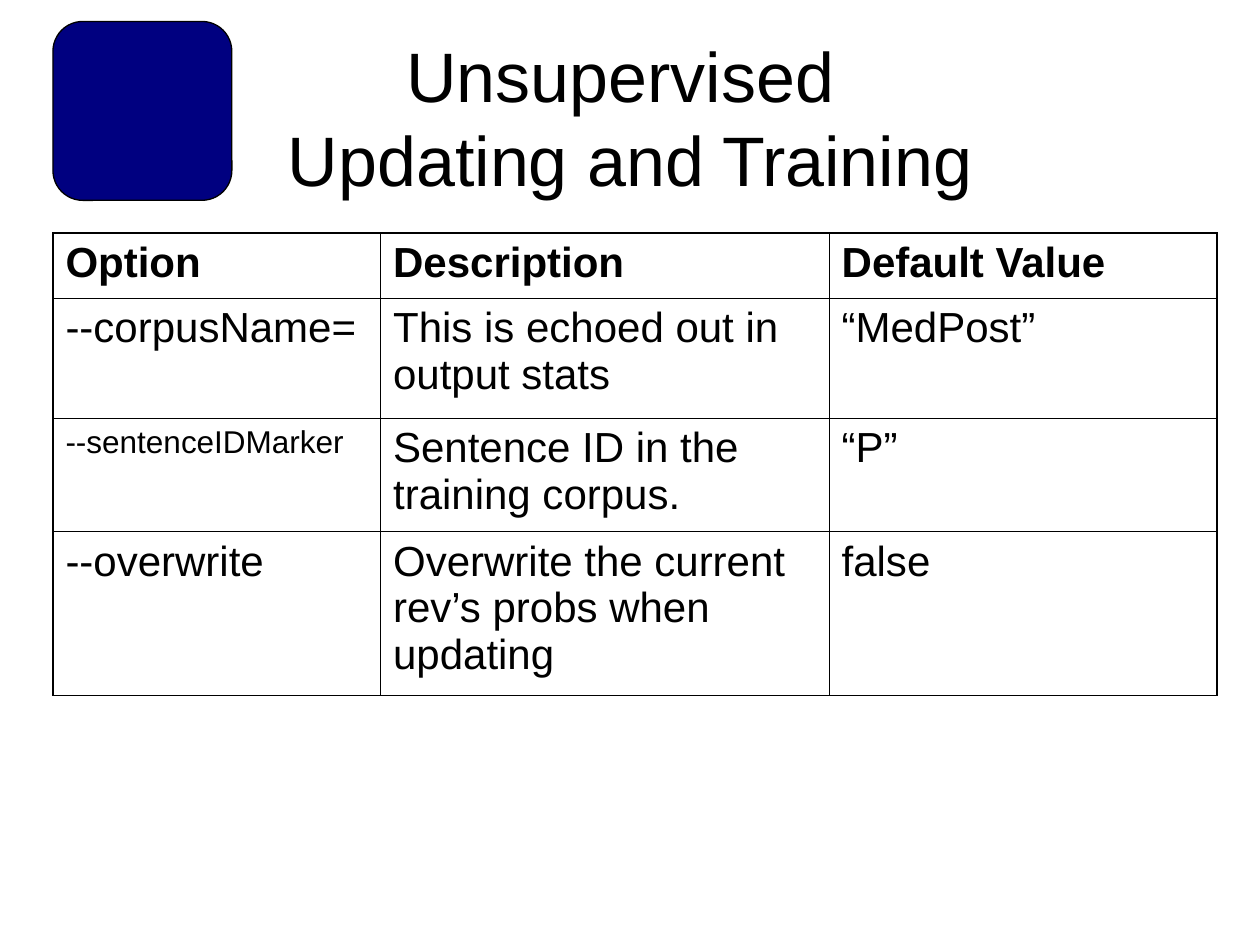
from lxml.etree import SubElement
from pptx import Presentation
from pptx.dml.color import RGBColor
from pptx.enum.shapes import MSO_SHAPE
from pptx.enum.text import MSO_ANCHOR, PP_ALIGN
from pptx.oxml.ns import qn
from pptx.util import Inches, Pt

BLACK = RGBColor(0, 0, 0)
NAVY = RGBColor(0, 0, 0x80)
FONT = "Arial"
OUTER_LINE, INNER_LINE = Pt(1.08), Pt(0.45)

COLUMN_WIDTHS = [2.6, 3.56, 3.08]
ROW_HEIGHTS = [0.52, 0.95, 0.9, 1.3]
OPTIONS = [
    ["Option", "Description", "Default Value"],
    ["--corpusName=", "This is echoed out in output stats", "“MedPost”"],
    ["--sentenceIDMarker", "Sentence ID in the training corpus.", "“P”"],
    ["--overwrite", "Overwrite the current rev’s probs when updating", "false"],
]
SMALL_SIZES = {"--sentenceIDMarker": 18}


def format_font(paragraph, size, bold=False):
    for run in paragraph.runs:
        run.font.name = FONT
        run.font.size = Pt(size)
        run.font.bold = bold
        run.font.color.rgb = BLACK


def add_title(slide, left, top, width, height):
    box = slide.shapes.add_textbox(left, top, width, height)
    text_frame = box.text_frame
    text_frame.word_wrap = True
    text_frame.vertical_anchor = MSO_ANCHOR.MIDDLE
    paragraph = text_frame.paragraphs[0]
    paragraph.text = "Unsupervised \vUpdating and Training"
    paragraph.alignment = PP_ALIGN.CENTER
    format_font(paragraph, 40)


def add_emblem(slide, left, top, size):
    shape = slide.shapes.add_shape(MSO_SHAPE.ROUNDED_RECTANGLE, left, top, size, size)
    shape.shadow.inherit = False
    shape.fill.solid()
    shape.fill.fore_color.rgb = NAVY
    shape.line.color.rgb = BLACK
    shape.line.width = Pt(0.75)


def set_borders(cell, widths):
    """Draw the left, right, top and bottom borders, which precede the fill."""
    properties = cell._tc.get_or_add_tcPr()
    for index, (side, width) in enumerate(zip("LRTB", widths)):
        line = SubElement(properties, qn(f"a:ln{side}"), w=str(width))
        fill = SubElement(line, qn("a:solidFill"))
        SubElement(fill, qn("a:srgbClr"), val=str(BLACK))
        properties.insert(index, line)


def add_options_table(slide, left, top, width, height):
    row_count, column_count = len(OPTIONS), len(COLUMN_WIDTHS)
    table = slide.shapes.add_table(
        row_count, column_count, left, top, width, height).table
    table.first_row = False
    table.horz_banding = False
    for column, column_width in zip(table.columns, COLUMN_WIDTHS):
        column.width = Inches(column_width)
    for row, row_height in zip(table.rows, ROW_HEIGHTS):
        row.height = Inches(row_height)

    for row_index, texts in enumerate(OPTIONS):
        for column_index, text in enumerate(texts):
            cell = table.cell(row_index, column_index)
            cell.text_frame.text = text
            format_font(cell.text_frame.paragraphs[0],
                        SMALL_SIZES.get(text, 24), bold=row_index == 0)
            cell.fill.background()
            on_edge = [column_index == 0, column_index == column_count - 1,
                       row_index == 0, row_index == row_count - 1]
            set_borders(cell, [OUTER_LINE if edge else INNER_LINE for edge in on_edge])


def main():
    presentation = Presentation()
    presentation.slide_width = Inches(10)
    presentation.slide_height = Inches(7.5)
    slide = presentation.slides.add_slide(presentation.slide_layouts[6])

    # Heading with its emblem
    add_title(slide, Inches(0.5), Inches(0.3), Inches(9), Inches(1.25))
    add_emblem(slide, Inches(0.42), Inches(0.17), Inches(1.42))

    # Command-line options
    add_options_table(slide, Inches(0.42), Inches(1.85),
                      Inches(sum(COLUMN_WIDTHS)), Inches(sum(ROW_HEIGHTS)))

    presentation.save("out.pptx")


if __name__ == "__main__":
    main()
